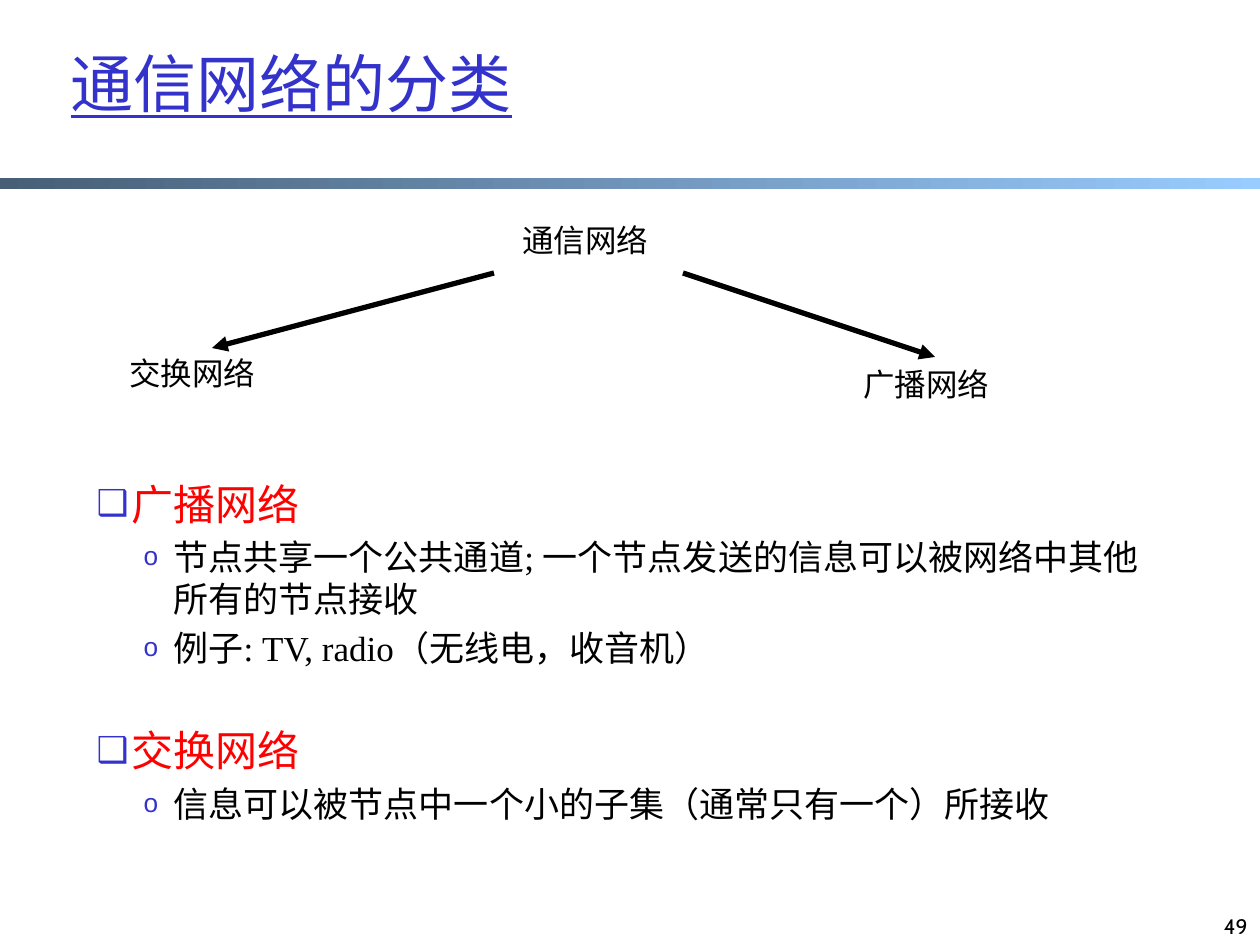
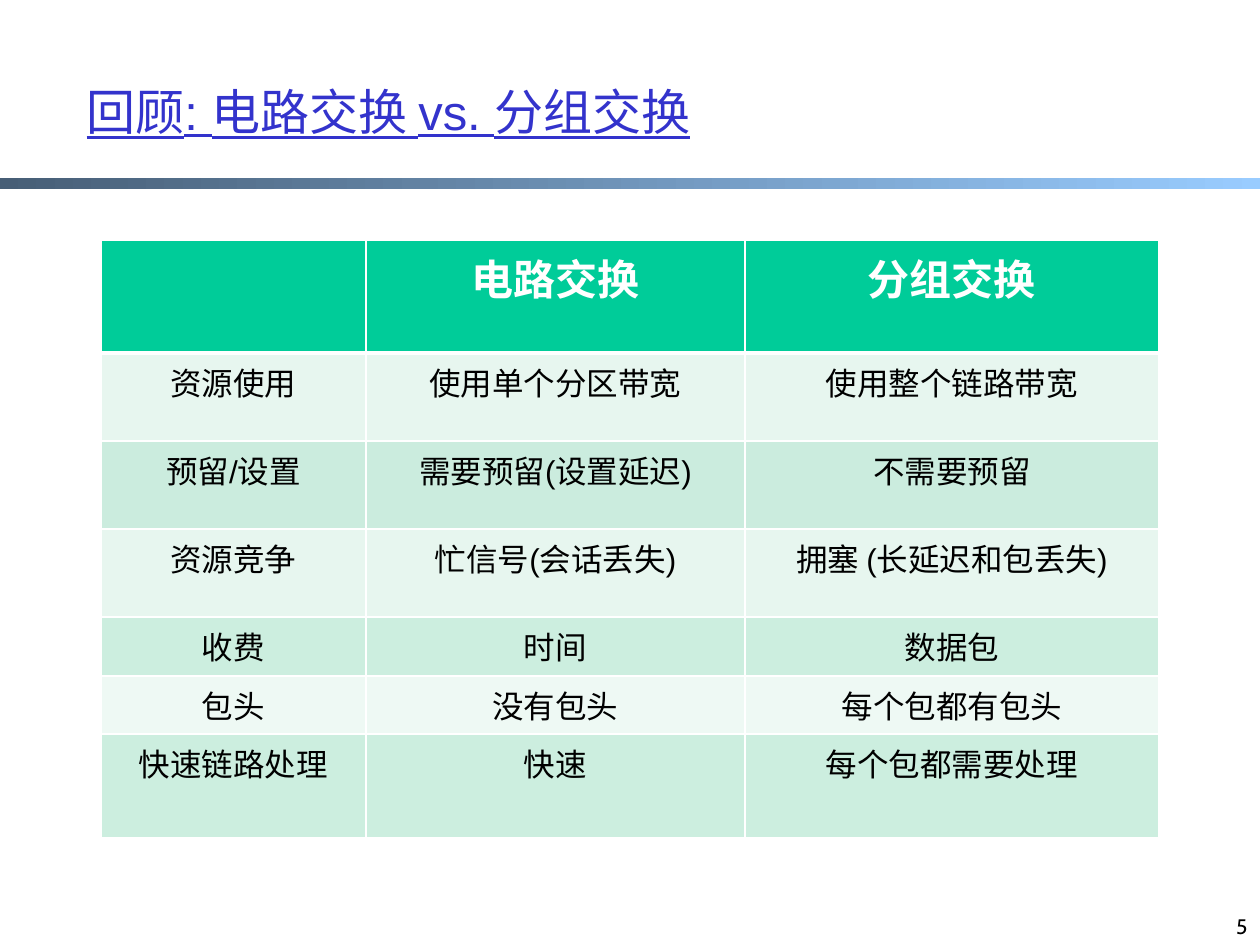
from dataclasses import dataclass

from lxml import etree
from pptx import Presentation
from pptx.dml.color import RGBColor
from pptx.enum.shapes import MSO_CONNECTOR, MSO_SHAPE
from pptx.enum.text import MSO_ANCHOR, MSO_AUTO_SIZE, PP_ALIGN
from pptx.oxml.ns import qn
from pptx.util import Emu, Pt

PX_PER_INCH = 126


@dataclass(frozen=True)
class Theme:
    # Colours
    title: str = "3333CC"
    text: str = "000000"
    accent: str = "FF0000"
    white: str = "FFFFFF"
    band: tuple = ("475E76", "99CCFF")
    header: str = "00CC99"
    rows: tuple = ("E7F6EF", "CBECDE", "E7F6EF", "CCEEDF", "EEF9F4", "CCEEDF")
    # Fonts
    sans: str = "Arial"
    serif: str = "Times New Roman"
    cjk: str = "Noto Sans CJK SC"
    number: str = "Cabin"
    # Type sizes
    heading_size: int = 24
    item_size: int = 20
    label_size: int = 18
    number_size: int = 12


THEME = Theme()

# Bullet by level: character, size %, left margin, hanging indent, colour, type size
LEVELS = (
    ("❑", 85, 35, 35, THEME.accent, THEME.heading_size),
    ("o", 75, 77, 30, THEME.text, THEME.item_size),
)


def px(n):
    return Emu(round(n * 914400 / PX_PER_INCH))


def place(sp, x, y, w, h):
    sp.left, sp.top, sp.width, sp.height = px(x), px(y), px(w), px(h)


def write(p, text, *, size, font, color=THEME.text, bold=False,
          underline=False, align=PP_ALIGN.LEFT, before=0):
    """Put formatted text into a paragraph."""
    p.alignment = align
    p.space_before = Pt(before)
    r = p.add_run()
    r.text = text
    f = r.font
    f.name, f.size, f.bold, f.underline = font, Pt(size), bold, underline
    f.color.rgb = RGBColor.from_string(color)


def frame(sp, anchor=MSO_ANCHOR.TOP):
    tf = sp.text_frame
    tf.word_wrap = True
    tf.auto_size = MSO_AUTO_SIZE.NONE
    tf.vertical_anchor = anchor
    return tf


def add_textbox(s, text, box, anchor=MSO_ANCHOR.TOP, **fmt):
    sp = s.shapes.add_textbox(*map(px, box))
    write(frame(sp, anchor).paragraphs[0], text, **fmt)


def add_band(s):
    sp = s.shapes.add_shape(MSO_SHAPE.RECTANGLE, 0, px(178), px(1260), px(11))
    sp.shadow.inherit = False
    sp.line.fill.background()
    sp.fill.gradient()
    sp.fill.gradient_angle = 0
    for stop, color in zip(sp.fill.gradient_stops, THEME.band):
        stop.color.rgb = RGBColor.from_string(color)


def add_page(prs, layout, title, box, number, anchor, **fmt):
    """Add a slide with the shared band, title and page number."""
    s = prs.slides.add_slide(prs.slide_layouts[layout])
    add_band(s)
    place(s.shapes.title, *box)
    write(frame(s.shapes.title, anchor).paragraphs[0], title,
          color=THEME.title, underline=True, **fmt)
    add_textbox(s, number, (966, 882, 294, 63), MSO_ANCHOR.BOTTOM,
                size=THEME.number_size, font=THEME.number, align=PP_ALIGN.RIGHT)
    return s


def set_bullet(p, char, percent, margin, hang):
    pPr = p._p.get_or_add_pPr()
    pPr.set("marL", str(px(margin)))
    pPr.set("indent", str(-px(hang)))
    color = etree.SubElement(pPr, qn("a:buClr"))
    etree.SubElement(color, qn("a:srgbClr"), val=THEME.title)
    etree.SubElement(pPr, qn("a:buSzPct"), val=str(percent * 1000))
    etree.SubElement(pPr, qn("a:buFont"), typeface=THEME.sans)
    etree.SubElement(pPr, qn("a:buChar"), char=char)


def add_list(s, box, items):
    """Fill the body placeholder with (level, text, space before) items."""
    sp = s.placeholders[1]
    place(sp, *box)
    tf = frame(sp)
    for i, (level, text, before) in enumerate(items):
        p = tf.add_paragraph() if i else tf.paragraphs[0]
        p.level = level
        *bullet, color, size = LEVELS[level]
        set_bullet(p, *bullet)
        write(p, text, size=size, font=THEME.serif, color=color, before=before)


def add_arrow(s, x1, y1, x2, y2):
    c = s.shapes.add_connector(MSO_CONNECTOR.STRAIGHT, *map(px, (x1, y1, x2, y2)))
    c.line.width = Pt(3)
    c.line.color.rgb = RGBColor.from_string(THEME.text)
    etree.SubElement(c.line._get_or_add_ln(), qn("a:tailEnd"), type="triangle")
    etree.SubElement(c._element.spPr, qn("a:effectLst"))


def set_borders(cell, **widths):
    """Draw white cell borders; widths in points by side (L, R, T, B)."""
    tcPr = cell._tc.get_or_add_tcPr()
    for i, side in enumerate("LRTB"):
        ln = etree.Element(qn(f"a:ln{side}"), w=str(Pt(widths.get(side, 1))))
        fill = etree.SubElement(ln, qn("a:solidFill"))
        etree.SubElement(fill, qn("a:srgbClr"), val=THEME.white)
        tcPr.insert(i, ln)


def add_grid(s, x, y, widths, heights, rows):
    table = s.shapes.add_table(len(rows), len(widths), px(x), px(y),
                               px(sum(widths)), px(sum(heights))).table
    table.horz_banding = False
    for col, w in zip(table.columns, widths):
        col.width = px(w)
    for row, h in zip(table.rows, heights):
        row.height = px(h)
    for i, (texts, fill) in enumerate(zip(rows, (THEME.header, *THEME.rows))):
        head = i == 0
        for j, text in enumerate(texts):
            cell = table.cell(i, j)
            cell.fill.solid()
            cell.fill.fore_color.rgb = RGBColor.from_string(fill)
            set_borders(cell, B=3 if head else 1, T=3 if i == 1 else 1)
            if text:
                write(cell.text_frame.paragraphs[0], text, font=THEME.sans,
                      size=THEME.heading_size if head else THEME.label_size,
                      color=THEME.white if head else THEME.text,
                      bold=head, align=PP_ALIGN.CENTER)


def build_classification(prs):
    s = add_page(prs, 1, "通信网络的分类", (58, 38, 1071, 97), "49",
                 MSO_ANCHOR.TOP, size=36, font=THEME.cjk)
    # Network types and their notes
    add_list(s, (84, 472, 1071, 420), [
        (0, "广播网络", 0),
        (1, "节点共享一个公共通道; 一个节点发送的信息可以被网络中其他所有的节点接收", 4),
        (1, "例子: TV, radio（无线电，收音机）", 4),
        (0, "交换网络", 32),
        (1, "信息可以被节点中一个小的子集（通常只有一个）所接收", 4),
    ])
    # Tree of network types
    for text, box in (("通信网络", (510, 215, 165, 50)),
                      ("广播网络", (851, 359, 169, 50)),
                      ("交换网络", (117, 348, 284, 50))):
        add_textbox(s, text, box, size=THEME.label_size, font=THEME.cjk)
    add_arrow(s, 494, 273, 212, 348)
    add_arrow(s, 683, 273, 935, 357)


def build_comparison(prs):
    s = add_page(prs, 5, "回顾: 电路交换 vs. 分组交换", (74, 32, 1071, 157), "5",
                 MSO_ANCHOR.MIDDLE, size=28, font=THEME.sans)
    add_grid(s, 101, 240, (265, 379, 414), (113, 88, 88, 88, 59, 58, 104), [
        ("", "电路交换", "分组交换"),
        ("资源使用", "使用单个分区带宽", "使用整个链路带宽"),
        ("预留/设置", "需要预留(设置延迟)", "不需要预留"),
        ("资源竞争", "忙信号(会话丢失)", "拥塞 (长延迟和包丢失)"),
        ("收费", "时间", "数据包"),
        ("包头", "没有包头", "每个包都有包头"),
        ("快速链路处理", "快速", "每个包都需要处理"),
    ])


def main():
    prs = Presentation()
    prs.slide_width, prs.slide_height = px(1260), px(945)
    build_classification(prs)
    build_comparison(prs)
    prs.save("out.pptx")


if __name__ == "__main__":
    main()
